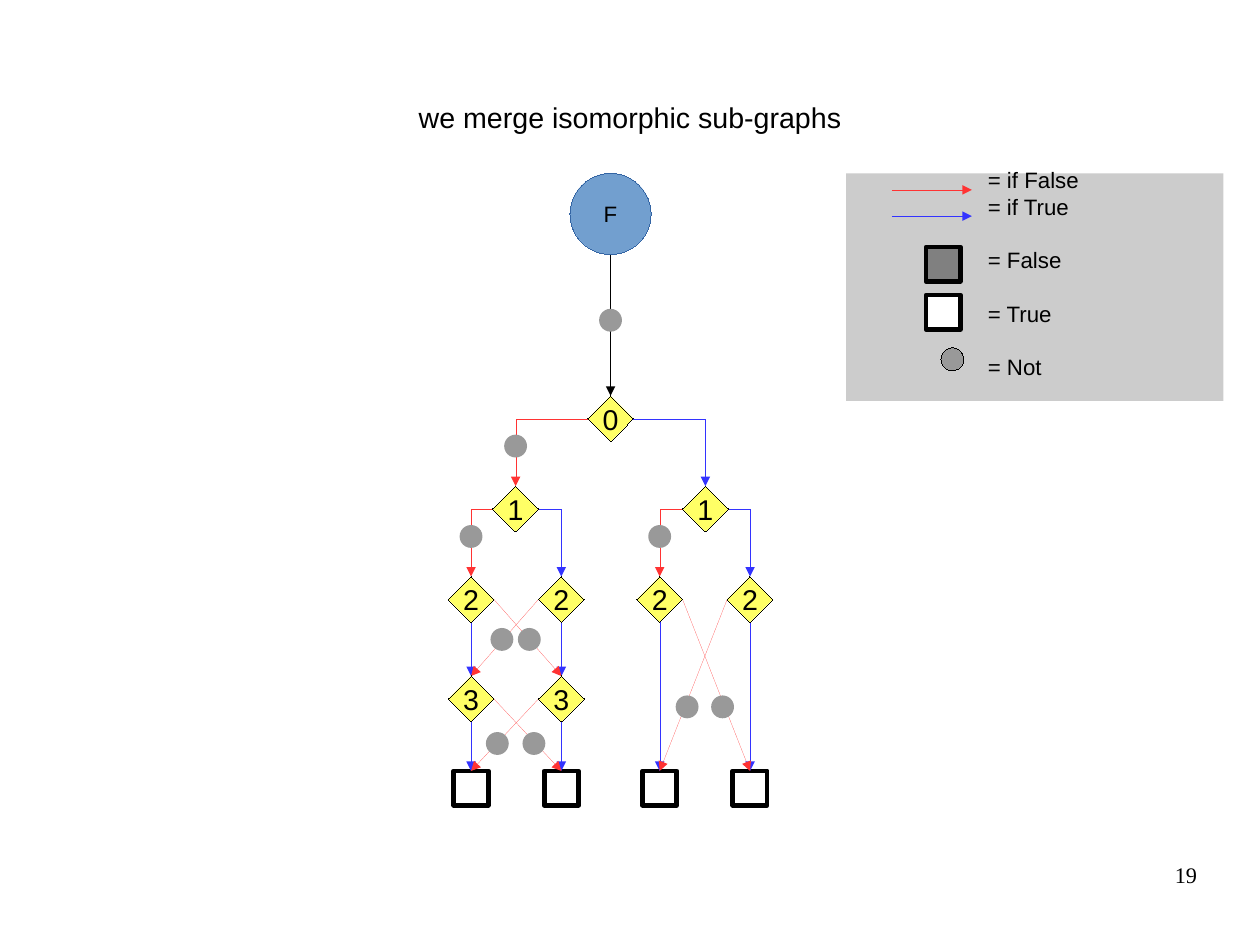
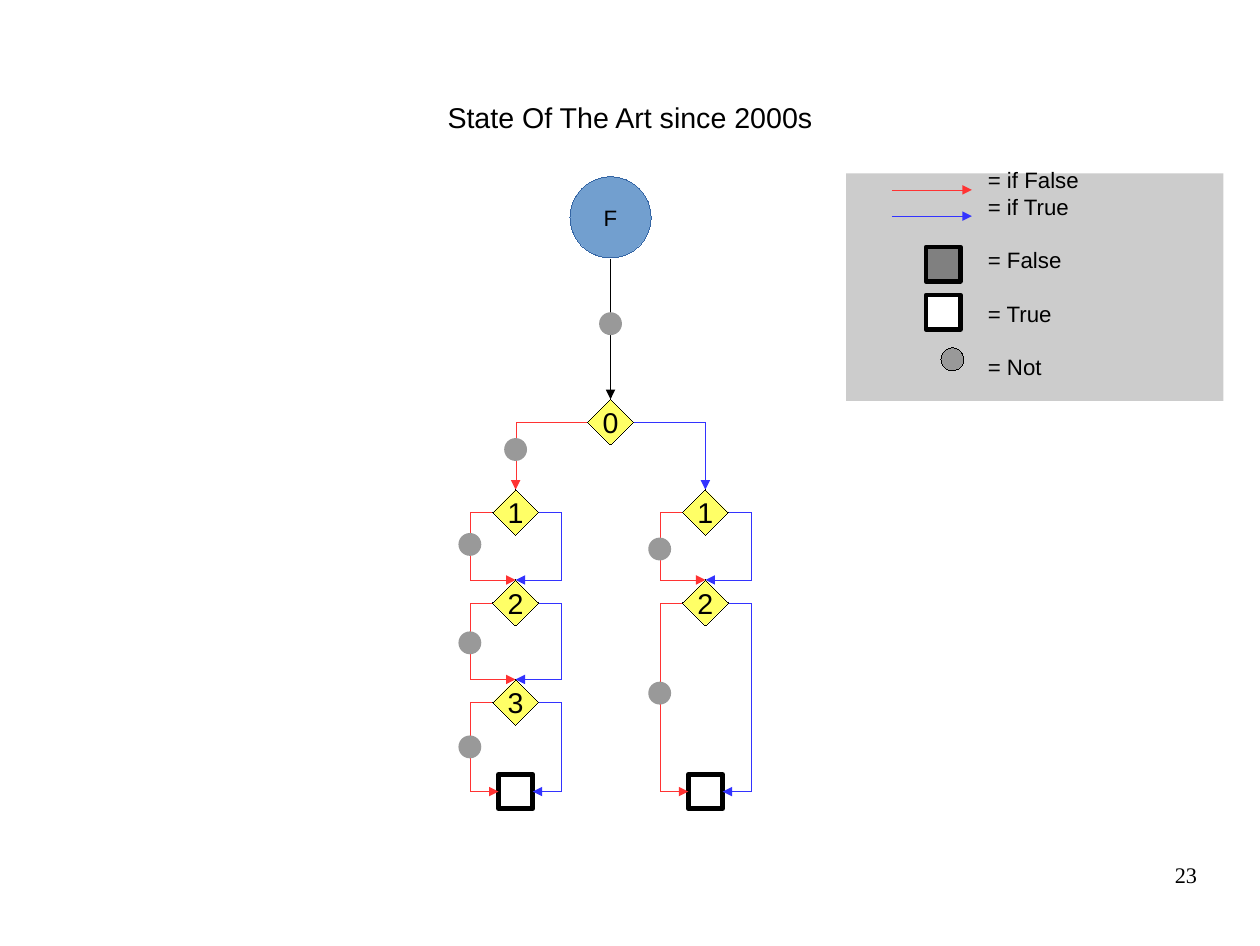
import pptx
import pptx.util
import pptx.dml.color
import pptx.enum.shapes
import pptx.enum.text
import pptx.oxml.ns
import lxml.etree

Inches, Pt = pptx.util.Inches, pptx.util.Pt
Kind = pptx.enum.shapes.MSO_SHAPE
Align = pptx.enum.text.PP_ALIGN
Anchor = pptx.enum.text.MSO_ANCHOR
colour = pptx.dml.color.RGBColor.from_string
qn = pptx.oxml.ns.qn

BLACK, WHITE = "000000", "FFFFFF"
IF_FALSE, IF_TRUE = "FF3333", "3333FF"
NOT_GREY, FALSE_GREY, PANEL = "999999", "808080", "CCCCCC"
YELLOW, BLUE, BLUE_EDGE = "FFFF66", "729FCF", "3465A4"

# Tree geometry: centre heights of the levels, half sizes of the nodes
LEVELS = [3.66, 4.45, 5.24, 6.11]
LEAF_Y, ROOT_X = 6.89, 5.34
HALF, LEAF_HALF, LOOP_REACH = 0.2, 0.15, 0.4


def add_node(slide, kind, x, y, width, height, fill, edge=None, edge_width=0, text="", size=18):
    """Draw a shape centred on (x, y)."""
    shape = slide.shapes.add_shape(kind, Inches(x - width / 2), Inches(y - height / 2),
                                   Inches(width), Inches(height))
    shape.shadow.inherit = False
    # Without the theme style a zero width stays a hairline
    shape.element.remove(shape.element.find(qn("p:style")))
    shape.fill.solid()
    shape.fill.fore_color.rgb = colour(fill)
    if edge:
        shape.line.color.rgb = colour(edge)
        shape.line.width = Pt(edge_width)
    else:
        shape.line.fill.background()
    if text:
        frame = shape.text_frame
        frame.word_wrap = False
        frame.vertical_anchor = Anchor.MIDDLE
        frame.margin_left = frame.margin_right = frame.margin_top = frame.margin_bottom = 0
        paragraph = frame.paragraphs[0]
        paragraph.text = text
        paragraph.alignment = Align.CENTER
        paragraph.font.size = Pt(size)
        paragraph.font.name = "Arial"
        paragraph.font.color.rgb = colour(BLACK)


def add_arrow(slide, points, line_colour):
    """Draw a hairline arrow through the points, straight or with corners."""
    corners = [(Inches(x), Inches(y)) for x, y in points]
    if len(corners) == 2:
        arrow = slide.shapes.add_connector(pptx.enum.shapes.MSO_CONNECTOR.STRAIGHT,
                                           *corners[0], *corners[1])
    else:
        builder = slide.shapes.build_freeform(*corners[0])
        builder.add_line_segments(corners[1:], close=False)
        arrow = builder.convert_to_shape()
        arrow.fill.background()
    arrow.element.remove(arrow.element.find(qn("p:style")))
    arrow.line.color.rgb = colour(line_colour)
    arrow.line.width = Pt(0)
    properties = arrow.element.spPr
    lxml.etree.SubElement(properties.find(qn("a:ln")), qn("a:tailEnd"), type="triangle")
    lxml.etree.SubElement(properties, qn("a:effectLst"))


# branches: parent x, level, false child x, true child x
# crossings: left x, right x, level, tip height
# loops: x, level, tip height, half width of the target, height of the Not dot
slides = [
    {"title": "we merge isomorphic sub-graphs", "number": "19", "drop": 0,
     "nodes": [[ROOT_X], [4.51, 6.17], [4.12, 4.91, 5.77, 6.56], [4.12, 4.91]],
     "leaves": [4.12, 4.91, 5.77, 6.56],
     "branches": [(ROOT_X, 0, 4.51, 6.17), (4.51, 1, 4.12, 4.91), (6.17, 1, 5.77, 6.56)],
     "crossings": [(4.12, 4.91, 2, 5.91), (4.12, 4.91, 3, 6.74), (5.77, 6.56, 2, 6.74)],
     "loops": [],
     "dots": [(4.39, 5.59), (4.63, 5.59), (4.35, 6.5), (4.67, 6.5), (6.01, 6.18), (6.32, 6.18)]},
    {"title": "State Of The Art since 2000s", "number": "23", "drop": 0.03,
     "nodes": [[ROOT_X], [4.51, 6.17], [4.51, 6.17], [4.51]],
     "leaves": [4.51, 6.17],
     "branches": [(ROOT_X, 0, 4.51, 6.17)],
     "crossings": [],
     "loops": [(4.51, 1, 5.04, 0, 4.73), (4.51, 2, 5.91, 0, 5.59),
               (4.51, 3, LEAF_Y, LEAF_HALF, 6.5),
               (6.17, 1, 5.04, 0, 4.77), (6.17, 2, LEAF_Y, LEAF_HALF, 6.03)],
     "dots": []},
]
legend_labels = ["= if False", "= if True", "= False", "= True", "= Not"]

presentation = pptx.Presentation()
presentation.slide_width, presentation.slide_height = Inches(11.02), Inches(8.27)

for content in slides:
    slide = presentation.slides.add_slide(presentation.slide_layouts[6])
    drop = content["drop"]

    # Collect arrows and Not dots
    arrows = [([(ROOT_X, 2.23), (ROOT_X, LEVELS[0] - HALF)], BLACK)]
    dots = [(ROOT_X, 2.8)] + content["dots"]
    for x, level, false_x, true_x in content["branches"]:
        y, tip = LEVELS[level], LEVELS[level + 1] - HALF
        arrows.append(([(x + HALF, y), (true_x, y), (true_x, tip)], IF_TRUE))
        arrows.append(([(x - HALF, y), (false_x, y), (false_x, tip)], IF_FALSE))
        dots.append((false_x, y + 0.24))
    for left, right, level, tip in content["crossings"]:
        y = LEVELS[level]
        for x in (left, right):
            arrows.append(([(x, y + HALF), (x, tip)], IF_TRUE))
        arrows.append(([(left + HALF, y), (right, tip)], IF_FALSE))
        arrows.append(([(right - HALF, y), (left, tip)], IF_FALSE))
    for x, level, tip, target_half, dot_y in content["loops"]:
        y = LEVELS[level]
        for side, line_colour in ((-1, IF_FALSE), (1, IF_TRUE)):
            outer = x + side * LOOP_REACH
            arrows.append(([(x + side * HALF, y), (outer, y), (outer, tip),
                            (x + side * target_half, tip)], line_colour))
        dots.append((x - LOOP_REACH, dot_y))

    # Graph: leaves, arrows, nodes, dots
    for x in content["leaves"]:
        add_node(slide, Kind.RECTANGLE, x, LEAF_Y + drop, 0.3, 0.3, WHITE, BLACK, 3)
    for points, line_colour in arrows:
        add_arrow(slide, [(x, y + drop) for x, y in points], line_colour)
    add_node(slide, Kind.OVAL, ROOT_X, 1.87 + drop, 0.71, 0.71, BLUE, BLUE_EDGE, text="F", size=14)
    for level, columns in enumerate(content["nodes"]):
        for x in columns:
            add_node(slide, Kind.DIAMOND, x, LEVELS[level] + drop, 0.4, 0.4, YELLOW, BLACK,
                     text=str(level))
    for x, y in dots:
        add_node(slide, Kind.OVAL, x, y + drop, 0.2, 0.2, NOT_GREY)

    # Legend symbols
    add_node(slide, Kind.RECTANGLE, 9.05, 2.51, 3.3, 1.99, PANEL)
    for y, fill in ((2.31, FALSE_GREY), (2.73, WHITE)):
        add_node(slide, Kind.RECTANGLE, 8.25, y, 0.3, 0.3, fill, BLACK, 3)
    for y, line_colour in ((1.66, IF_FALSE), (1.89, IF_TRUE)):
        add_arrow(slide, [(7.8, y), (8.5, y)], line_colour)
    add_node(slide, Kind.OVAL, 8.33, 3.14, 0.2, 0.2, NOT_GREY, BLACK)

    # Title, legend labels, slide number
    for lines, box, alignment, anchor, font_name, size in (
            ([content["title"]], (0.55, 0.33, 9.92, 1.38), Align.CENTER, Anchor.MIDDLE, "Arial", 18),
            (legend_labels, (8.64, 1.45, 1.9, 1.9), Align.LEFT, Anchor.TOP, "Arial", 14),
            ([content["number"]], (7.9, 7.53, 2.57, 0.57), Align.RIGHT, Anchor.TOP,
             "Times New Roman", 14)):
        frame = slide.shapes.add_textbox(*map(Inches, box)).text_frame
        frame.word_wrap = True
        frame.vertical_anchor = anchor
        frame.margin_left = frame.margin_right = frame.margin_top = frame.margin_bottom = 0
        for index, line in enumerate(lines):
            paragraph = frame.add_paragraph() if index else frame.paragraphs[0]
            paragraph.text = line
            paragraph.alignment = alignment
            if index:
                paragraph.space_before = Pt(0.2 if index == 1 else 16.9)
            paragraph.font.size = Pt(size)
            paragraph.font.name = font_name
            paragraph.font.color.rgb = colour(BLACK)

presentation.save("out.pptx")
